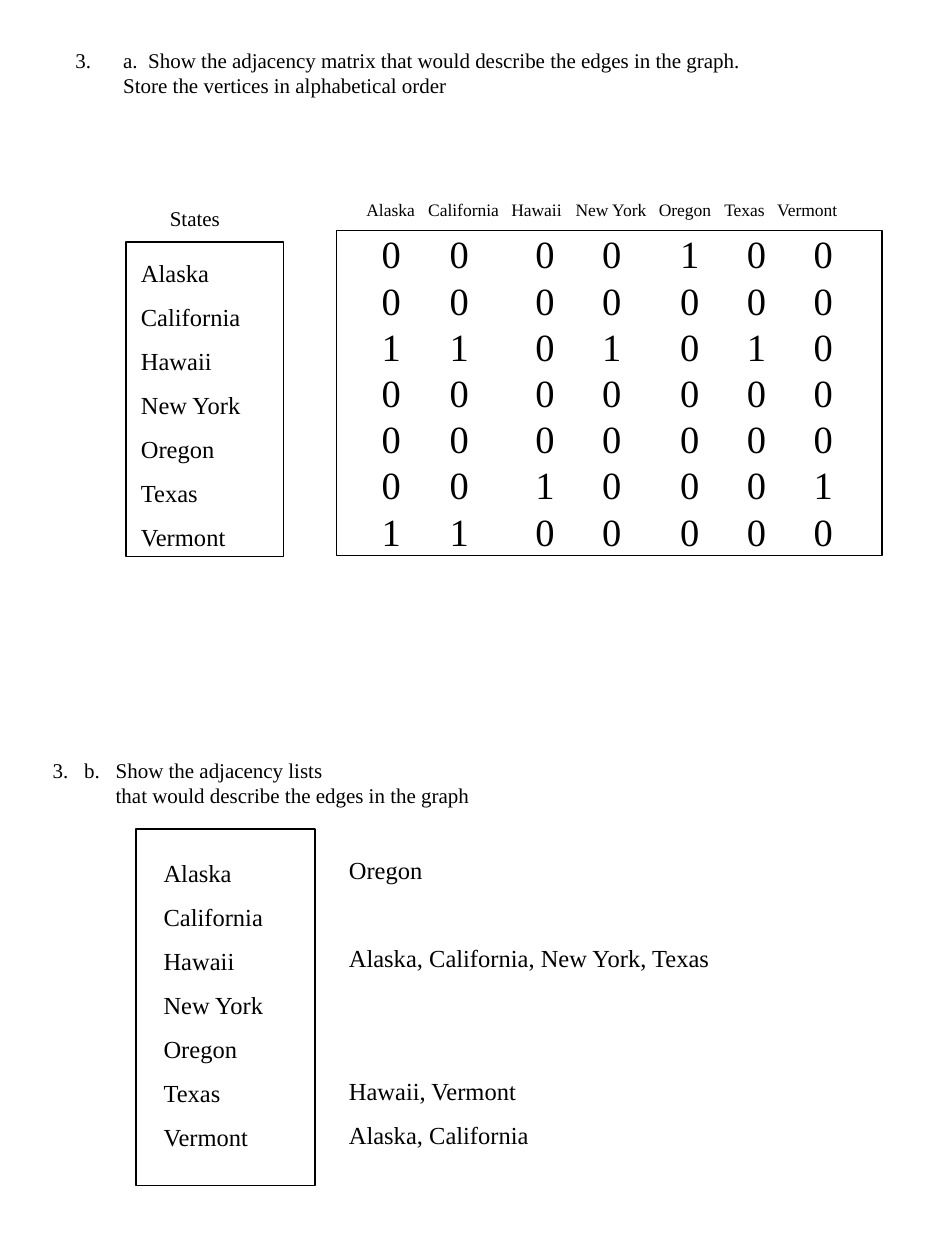
"""Build the answer slide on adjacency matrices and adjacency lists."""
from dataclasses import dataclass

from lxml import etree
from pptx import Presentation
from pptx import util as u
from pptx.dml.color import RGBColor
from pptx.enum import shapes
from pptx.oxml import ns

HUES = {"ink": "000000"}
FONT = "Times New Roman"
PITCH = 25.2
STATES = ["Alaska", "California", "Hawaii", "New York", "Oregon", "Texas", "Vermont"]
EDGES = {
    "Alaska": ["Oregon"],
    "Hawaii": ["Alaska", "California", "New York", "Texas"],
    "Texas": ["Hawaii", "Vermont"],
    "Vermont": ["Alaska", "California"],
}


@dataclass
class Frame:
    left: float
    top: float
    width: float
    height: float


@dataclass
class Line:
    words: str
    gap: float = 0


@dataclass
class Block:
    place: Frame
    lines: list[Line]
    size: float
    pace: float = 1.0
    tabs: tuple[float, ...] = ()
    start: int = 0
    hang: float = 0


def ink() -> RGBColor:
    return RGBColor.from_string(HUES["ink"])


def spots(place: Frame) -> list[int]:
    return [u.Inches(n) for n in (place.left, place.top, place.width, place.height)]


def add(node, tag: str, **attrs):
    return etree.SubElement(node, ns.qn(tag), {k: str(v) for k, v in attrs.items()})


def draw_frame(slide, place: Frame) -> None:
    box = slide.shapes.add_shape(shapes.MSO_SHAPE.RECTANGLE, *spots(place))
    box.shadow.inherit = False
    box.fill.background()
    box.line.color.rgb = ink()
    box.line.width = u.Pt(0.75)


def draw_block(slide, block: Block) -> None:
    frame = slide.shapes.add_textbox(*spots(block.place)).text_frame
    frame.word_wrap = True
    for i, line in enumerate(block.lines):
        para = frame.add_paragraph() if i else frame.paragraphs[0]
        para.line_spacing = block.pace
        if line.gap:
            para.space_before = u.Pt(line.gap)
        props = para._p.get_or_add_pPr()
        if block.start:
            props.set("marL", str(u.Inches(block.hang)))
            props.set("indent", str(-u.Inches(block.hang)))
            add(props, "a:buFont", typeface=FONT)
            add(props, "a:buAutoNum", type="arabicPeriod", startAt=block.start)
        if block.tabs:
            stops = add(props, "a:tabLst")
            for tab in block.tabs:
                add(stops, "a:tab", pos=u.Inches(tab), algn="l")
        run = para.add_run()
        run.text = line.words
        run.font.name = FONT
        run.font.size = u.Pt(block.size)
        run.font.color.rgb = ink()


def matrix() -> list[Line]:
    rows = []
    for state in STATES:
        ends = EDGES.get(state, [])
        rows.append(Line("".join(f"\t{int(end in ends)}" for end in STATES)))
    return rows


def lists() -> list[Line]:
    lines, gap = [], 0.0
    for state in STATES:
        if state in EDGES:
            lines.append(Line(", ".join(EDGES[state]), gap))
            gap = 0.0
        else:
            gap += PITCH
    return lines


def main() -> None:
    deck = Presentation()
    deck.slide_width, deck.slide_height = u.Inches(7.5), u.Inches(10)
    slide = deck.slides.add_slide(deck.slide_layouts[6])
    names = [Line(state) for state in STATES]
    ask = ("a.  Show the adjacency matrix that would describe the edges in the graph. "
           "Store the vertices in alphabetical order")
    goal = [Line("3.\tb.\tShow the adjacency lists"),
            Line("\t\tthat would describe the edges in the graph")]

    for place in (Frame(1.08, 6.58, 1.42, 2.83), Frame(1, 1.92, 1.25, 2.5),
                  Frame(2.67, 1.83, 4.33, 2.58)):
        draw_frame(slide, place)

    for block in (
        Block(Frame(0.32, 5.96, 3.6, 0.5), goal, 12, tabs=(0.25, 0.5)),
        Block(Frame(1.25, 1.58, 0.7, 0.3), [Line("States")], 12),
        Block(Frame(0.5, 0.33, 5.83, 0.5), [Line(ask)], 12, start=3, hang=0.38),
        Block(Frame(1.02, 1.88, 1.53, 3.05), names, 14, 1.5),
        Block(Frame(2.81, 1.45, 4.05, 0.86), [Line("\t".join(STATES))], 10, 1.5,
              (0.49, 1.15, 1.66, 2.32, 2.84, 3.26)),
        Block(Frame(2.78, 1.78, 4.05, 2.69), matrix(), 22,
              tabs=(0.15, 0.69, 1.37, 1.9, 2.52, 3.05, 3.58)),
        Block(Frame(1.2, 6.64, 1.53, 3.05), names, 14, 1.5),
        Block(Frame(2.67, 6.62, 4.52, 3.05), lists(), 14, 1.5),
    ):
        draw_block(slide, block)
    deck.save("out.pptx")


if __name__ == "__main__":
    main()
